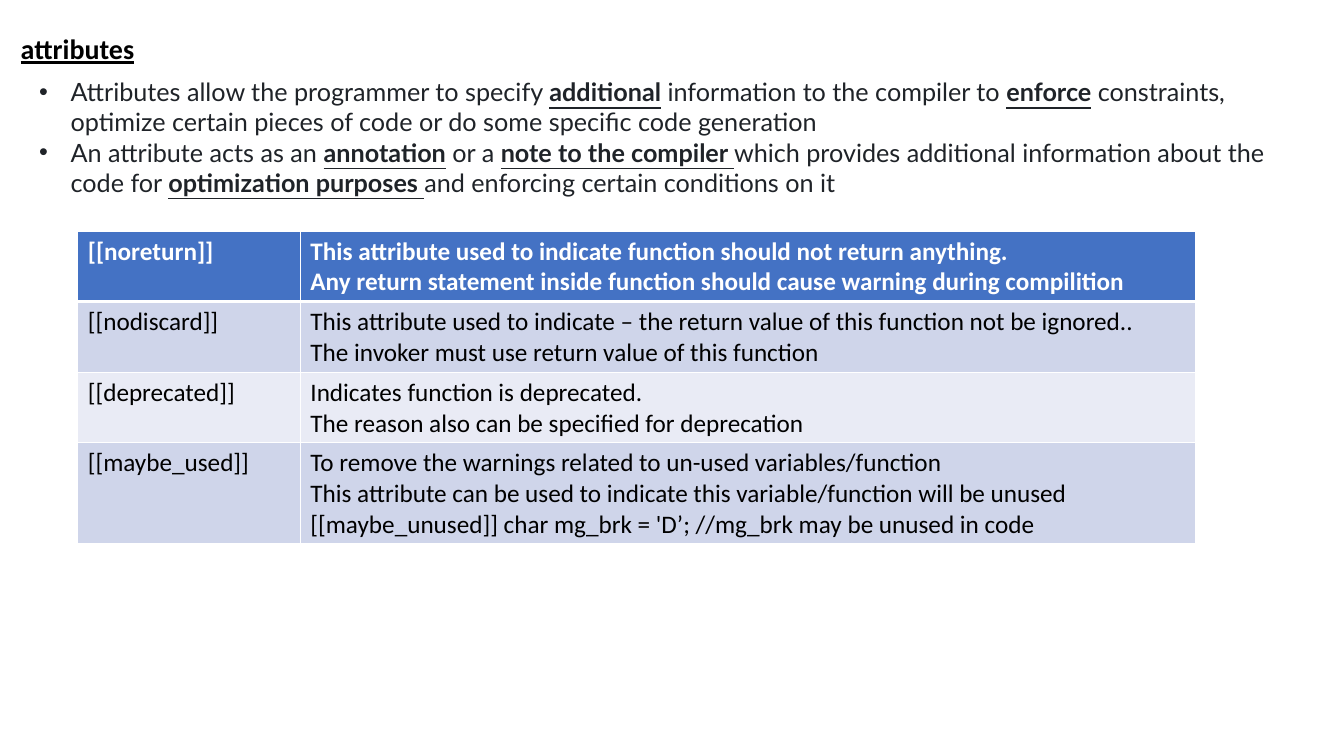
from lxml import etree
from pptx import Presentation
from pptx.dml.color import RGBColor
from pptx.enum.text import MSO_ANCHOR, PP_ALIGN
from pptx.oxml.ns import qn
from pptx.util import Cm, Pt

BOTTOM = MSO_ANCHOR.BOTTOM
CENTER = PP_ALIGN.CENTER

# Content: in the points, True marks bold underlined words
TITLE = "attributes"
POINTS = [
    [("Attributes allow the programmer to specify ", False),
     ("additional", True),
     (" information to the compiler to ", False),
     ("enforce", True),
     (" constraints, optimize certain pieces of code or do some specific code generation", False)],
    [("An attribute acts as an ", False),
     ("annotation", True),
     (" or a ", False),
     ("note to the compiler ", True),
     ("which provides additional information about the code for ", False),
     ("optimization purposes ", True),
     ("and enforcing certain conditions on it", False)],
]
ROWS = [
    ("[[noreturn]]",
     ["This attribute used to indicate function should not return anything.",
      "Any return statement inside function should cause warning during compilition"]),
    ("[[nodiscard]]",
     ["This attribute used to indicate – the return value of this function not be ignored..",
      "The invoker must use return value of this function"]),
    ("[[deprecated]]",
     ["Indicates function is deprecated.",
      "The reason also can be specified for deprecation"]),
    ("[[maybe_used]]",
     ["To remove the warnings related to un-used variables/function",
      "This attribute can be used to indicate this variable/function will be unused",
      "[[maybe_unused]] char mg_brk = 'D’; //mg_brk may be unused in code"]),
]
COLORS = {"black": "000000", "white": "FFFFFF", "body": "1F2328",
          "head": "4472C4", "odd": "CFD5EA", "even": "E9EBF5"}
WIDTHS = (5.61, 22.56)
LINE, PAD = 0.76, 0.26  # height of a text line and of the cell margins, in cm


def color(name):
    return RGBColor.from_string(COLORS[name])


def add_run(para, text, size, face, hue, bold=False, under=False):
    run = para.add_run()
    run.text = text
    font = run.font
    font.size, font.name, font.bold, font.underline = Pt(size), face, bold, under
    font.color.rgb = color(hue)


def add_box(slide, left, top, width, height):
    frame = slide.shapes.add_textbox(Cm(left), Cm(top), Cm(width), Cm(height)).text_frame
    frame.word_wrap = True
    return frame


def add_bullet(para):
    props = para._p.get_or_add_pPr()
    props.set("marL", str(Cm(0.79)))
    props.set("indent", str(-Cm(0.79)))
    etree.SubElement(props, qn("a:buFont")).set("typeface", "Arial")
    etree.SubElement(props, qn("a:buChar")).set("char", "•")


def add_lines(frame, lines):
    """Yield one paragraph with each entry of lines."""
    for i, line in enumerate(lines):
        yield (frame.add_paragraph() if i else frame.paragraphs[0]), line


def add_edges(cell, widths):
    props = cell._tc.get_or_add_tcPr()
    for side, width in widths.items():
        edge = etree.SubElement(props, qn("a:ln" + side))
        edge.set("w", str(Pt(width)))
        fill = etree.SubElement(edge, qn("a:solidFill"))
        etree.SubElement(fill, qn("a:srgbClr")).set("val", COLORS["white"])


def main():
    deck = Presentation()
    deck.slide_width, deck.slide_height = Cm(33.87), Cm(19.05)
    slide = deck.slides.add_slide(deck.slide_layouts[6])

    # Title
    frame = add_box(slide, 0, 0.1, 3.91, 1.68)
    frame.vertical_anchor = BOTTOM
    para = frame.paragraphs[0]
    para.alignment, para.line_spacing = CENTER, 0.9
    add_run(para, TITLE, 20, "Calibri", "black", True, True)

    # Bullet points
    frame = add_box(slide, 0.74, 1.8, 31.42, 3.33)
    for para, runs in add_lines(frame, POINTS):
        add_bullet(para)
        for text, strong in runs:
            add_run(para, text, 18, "Lato", "body", strong, strong)

    # Attribute table
    highs = [LINE * len(lines) + PAD for _, lines in ROWS]
    table = slide.shapes.add_table(len(ROWS), len(WIDTHS), Cm(1.96), Cm(5.82),
                                   Cm(sum(WIDTHS)), Cm(sum(highs))).table
    for col, width in zip(table.columns, WIDTHS):
        col.width = Cm(width)
    for r, (name, notes) in enumerate(ROWS):
        table.rows[r].height = Cm(highs[r])
        head = r == 0
        shade = "head" if head else ("odd" if r % 2 else "even")
        edges = {"L": 1, "R": 1, "T": 3 if r == 1 else 1, "B": 3 if head else 1}
        for c, lines in enumerate(([name], notes)):
            cell = table.cell(r, c)
            add_edges(cell, edges)
            cell.fill.solid()
            cell.fill.fore_color.rgb = color(shade)
            for para, text in add_lines(cell.text_frame, lines):
                add_run(para, text, 18, "Calibri", "white" if head else "black", head)

    deck.save("out.pptx")


if __name__ == "__main__":
    main()
